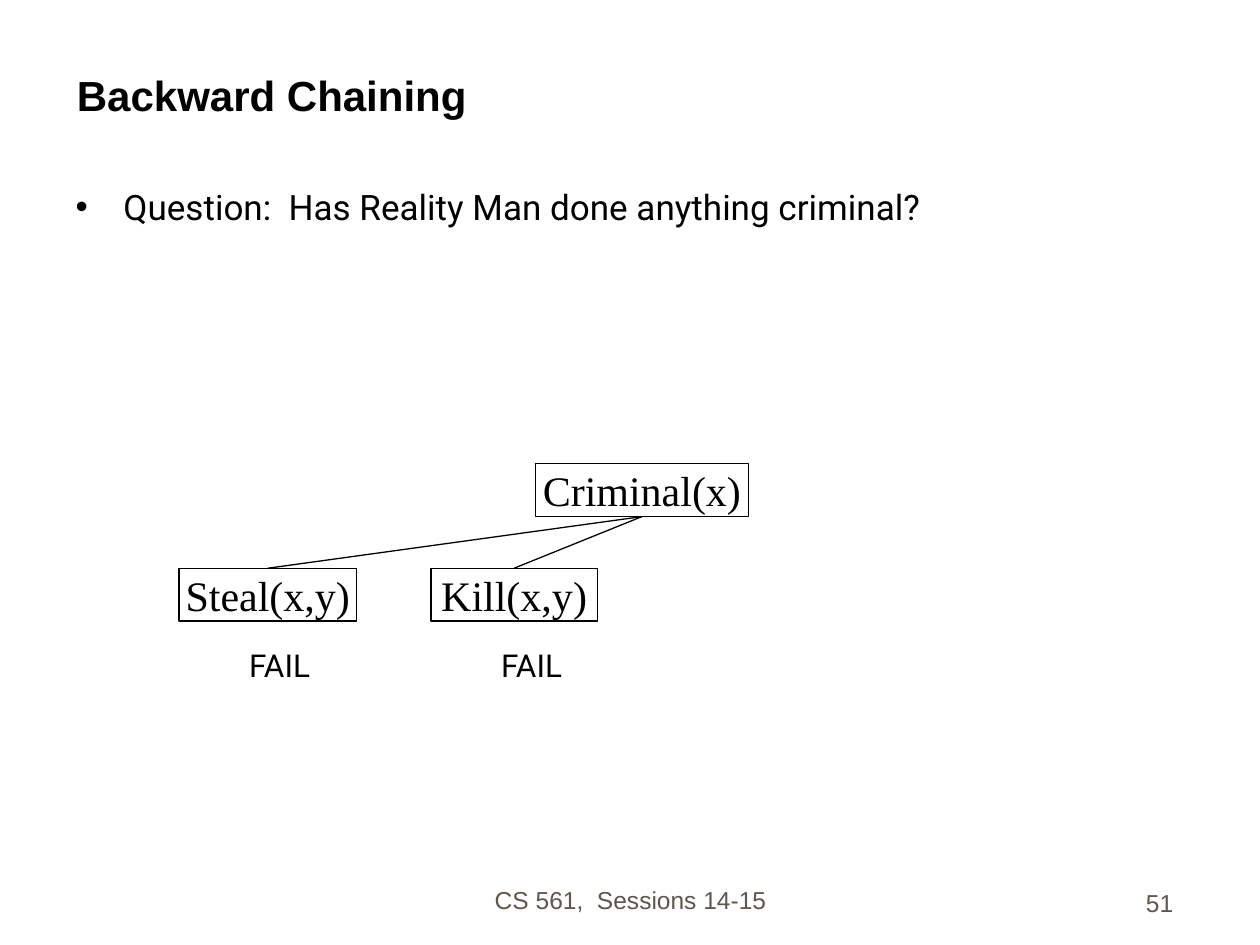
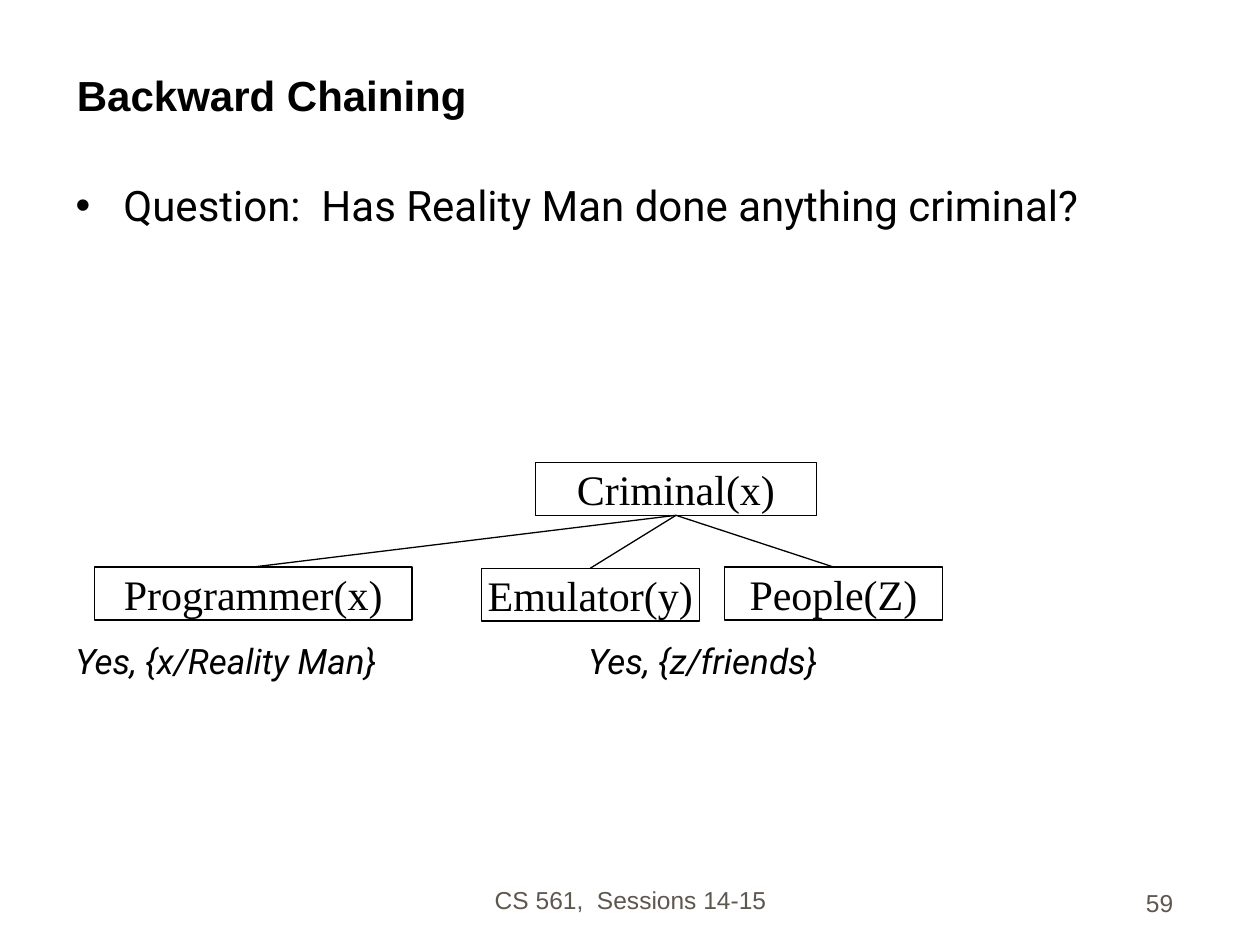
import pptx
import pptx.util
import pptx.dml.color
import pptx.enum.text
import pptx.enum.shapes
import pptx.oxml.ns
import lxml.etree
from dataclasses import dataclass

Inches, Pt = pptx.util.Inches, pptx.util.Pt
Align, Anchor = pptx.enum.text.PP_ALIGN, pptx.enum.text.MSO_ANCHOR
qn = pptx.oxml.ns.qn


@dataclass(frozen=True)
class Theme:
    ink: str = "000000"
    muted: str = "5E574E"
    heading_font: str = "Arial"
    body_font: str = "Roboto"
    node_font: str = "Times New Roman"
    title_size: int = 24
    node_size: int = 24
    footer_size: int = 14
    line_width: float = 0.75


theme = Theme()
node_height = 0.42
question = "Question:  Has Reality Man done anything criminal?"

# Each node is (text, left, top, width); each answer is (text, left, width)
slides = [
    dict(number="51", question_size=20, question_spacing=1.0,
         answers=[("FAIL", 1.88, 0.8), ("FAIL", 3.88, 0.8)],
         answer_size=18, answer_top=5.08, italic=False,
         goal=("Criminal(x)", 4.25, 3.68, 1.69),
         subgoals=[("Steal(x,y)", 1.42, 4.51, 1.41),
                   ("Kill(x,y)", 3.42, 4.51, 1.32)]),
    dict(number="59", question_size=24, question_spacing=0.9,
         answers=[("Yes, {x/Reality Man}", 0.5, 2.8), ("Yes, {z/friends}", 4.57, 2.2)],
         answer_size=20, answer_top=5.03, italic=True,
         goal=("Criminal(x)", 4.25, 3.67, 2.23),
         subgoals=[("Programmer(x)", 0.75, 4.5, 2.52),
                   ("Emulator(y)", 3.82, 4.51, 1.73),
                   ("People(Z)", 5.75, 4.5, 1.73)]),
]


def style(para, font, size, color=theme.ink, align=Align.LEFT, bold=False, italic=False):
    para.alignment = align
    for span in para.runs:
        span.font.name = font
        span.font.size = Pt(size)
        span.font.bold = bold
        span.font.italic = italic
        span.font.color.rgb = pptx.dml.color.RGBColor.from_string(color)


def add_node(page, text, left, top, width):
    node = page.shapes.add_shape(pptx.enum.shapes.MSO_SHAPE.RECTANGLE, Inches(left),
                                 Inches(top), Inches(width), Inches(node_height))
    node.shadow.inherit = False
    node.fill.background()
    node.line.color.rgb = pptx.dml.color.RGBColor.from_string(theme.ink)
    node.line.width = Pt(theme.line_width)
    frame = node.text_frame
    frame.text = text
    frame.word_wrap = False
    frame.vertical_anchor = Anchor.MIDDLE
    style(frame.paragraphs[0], theme.node_font, theme.node_size, align=Align.CENTER)
    return node


deck = pptx.Presentation()
deck.slide_width, deck.slide_height = Inches(10), Inches(7.5)

for content in slides:
    page = deck.slides.add_slide(deck.slide_layouts[1])

    # Footer and page number
    for text, left, top, width, align in [
            ("CS 561,  Sessions 14-15", 3.42, 6.81, 3.17, Align.CENTER),
            (content["number"], 7.33, 6.83, 2.08, Align.RIGHT)]:
        box = page.shapes.add_textbox(Inches(left), Inches(top), Inches(width), Inches(0.5))
        box.text_frame.text = text
        box.text_frame.word_wrap = True
        box.text_frame.vertical_anchor = Anchor.BOTTOM
        style(box.text_frame.paragraphs[0], theme.heading_font, theme.footer_size,
              theme.muted, align)

    # Title
    title = page.shapes.title
    title.left, title.top, title.width, title.height = map(Inches, (0.51, 0.25, 8.92, 0.75))
    title.text_frame.text = "Backward Chaining"
    title.text_frame.vertical_anchor = Anchor.BOTTOM
    title.text_frame.auto_size = pptx.enum.text.MSO_AUTO_SIZE.NONE
    style(title.text_frame.paragraphs[0], theme.heading_font, theme.title_size, bold=True)

    # Question
    body = page.placeholders[1]
    body.left, body.top, body.width, body.height = map(Inches, (0.5, 1.42, 8.94, 5.21))
    body.text_frame.text = question
    body.text_frame.auto_size = pptx.enum.text.MSO_AUTO_SIZE.NONE
    para = body.text_frame.paragraphs[0]
    properties = para._p.get_or_add_pPr()
    properties.set("marL", str(Inches(0.38)))
    properties.set("indent", str(-Inches(0.38)))
    lxml.etree.SubElement(properties, qn("a:buChar")).set("char", "•")
    para.space_before = Pt(0)
    para.line_spacing = content["question_spacing"]
    style(para, theme.body_font, content["question_size"])

    # Goal tree: bottom of the goal joins the top of each subgoal
    goal = add_node(page, *content["goal"])
    for subgoal in content["subgoals"]:
        child = add_node(page, *subgoal)
        branch = page.shapes.add_connector(pptx.enum.shapes.MSO_CONNECTOR.STRAIGHT, 0, 0, 0, 0)
        branch.begin_connect(goal, 2)
        branch.end_connect(child, 0)
        branch.line.color.rgb = pptx.dml.color.RGBColor.from_string(theme.ink)
        branch.line.width = Pt(theme.line_width)
        lxml.etree.SubElement(branch._element.spPr, qn("a:effectLst"))

    # Answers below the subgoals
    for text, left, width in content["answers"]:
        box = page.shapes.add_textbox(Inches(left), Inches(content["answer_top"]),
                                      Inches(width), Inches(0.42))
        box.text_frame.text = text
        box.text_frame.word_wrap = True
        style(box.text_frame.paragraphs[0], theme.body_font, content["answer_size"],
              italic=content["italic"])

deck.save("out.pptx")
